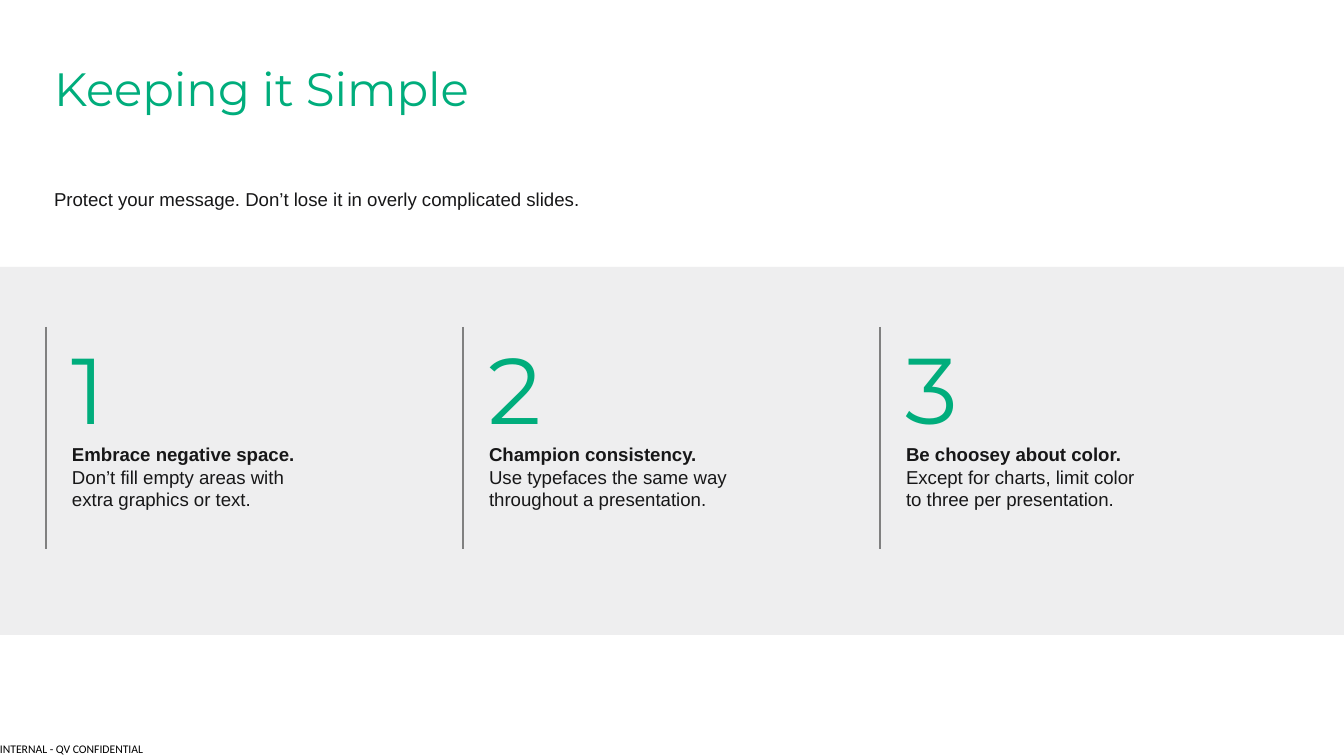
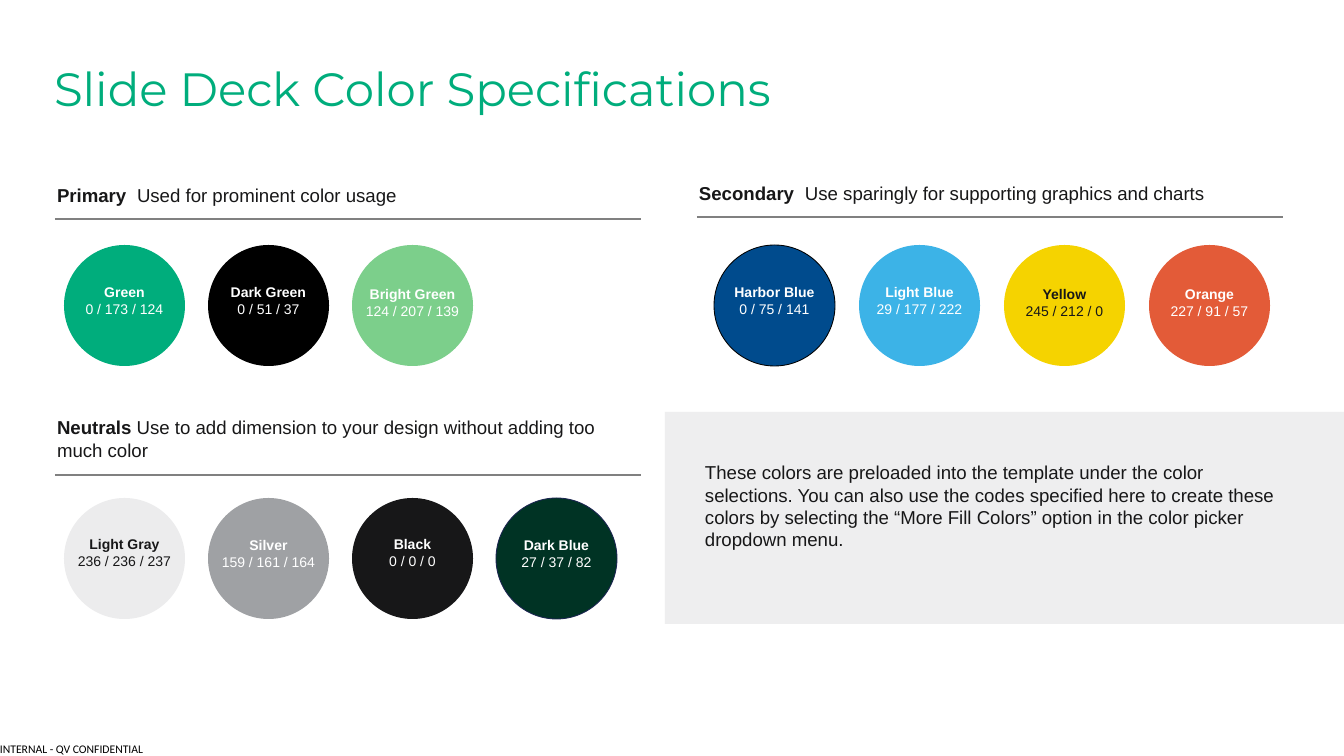
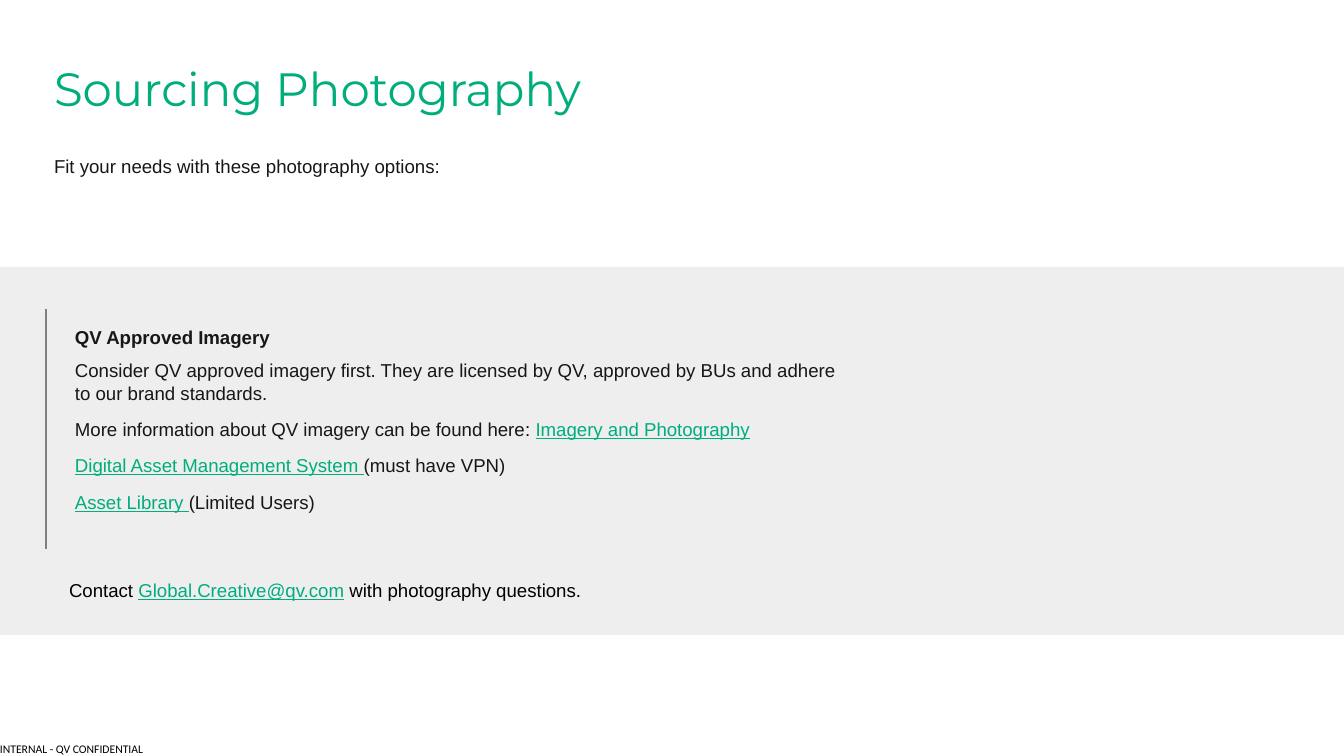
"""Build three brand guideline slides: simplicity, colors and photography."""
from pptx import Presentation
from pptx import util as u
from pptx.dml.color import RGBColor
from pptx.enum import shapes, text
from pptx.oxml.ns import qn
from lxml import etree

PX = 914400 / 84
PAGE_WIDTH, PAGE_HEIGHT = 1344, 756
GREEN, INK, BLACK, WHITE = "00AD7C", "171718", "000000", "FFFFFF"
PANEL, RULE = "EEEEEF", "808080"
TITLE_ONLY, TITLE_AND_BODY = 5, 1
WIDE_PANEL = (0, 267, PAGE_WIDTH, 368)
INSETS = (8, 4, 8, 4)
BODY_INSETS = (8, 8, 8, 4)
CIRCLE = 121

BASE = {"name": "Arial", "size": 16, "color": INK}
TITLE = {"name": "Montserrat", "size": 40, "color": GREEN}
NUMBER = {"name": "Montserrat", "size": 80, "color": GREEN}
FOOTER = {"name": "Calibri", "size": 10, "color": BLACK}
BOLD = {"bold": True}
DARK = {"color": BLACK}
LINK = {"color": GREEN, "underline": True}

FOOTER_TEXT = "INTERNAL - QV CONFIDENTIAL"

SIMPLE_TITLE = "Keeping it Simple"
SIMPLE_INTRO = "Protect your message. Don’t lose it in overly complicated slides."
TIPS = [
    ("Embrace negative space.", "Don’t fill empty areas with\nextra graphics or text."),
    ("Champion consistency.", "Use typefaces the same way throughout a presentation."),
    ("Be choosey about color.", "Except for charts, limit color to three per presentation."),
]

COLOR_TITLE = "Slide Deck Color Specifications"
COLOR_NOTE = (
    "These colors are preloaded into the template under the color selections. "
    "You can also use the codes specified here to create these colors by selecting "
    "the “More Fill Colors” option in the color picker dropdown menu."
)
COLOR_GROUPS = [
    {
        "heading": ("Primary", "\tUsed for prominent color usage"),
        "box": (49, 180, 507, 54), "tab": 80, "rule": 219, "start": (64, 245), "step": 144,
        "swatches": [
            ("Green", "0 / 173 / 124", "00AD7C", None, WHITE, 35),
            ("Dark Green", "0 / 51 / 37", "000000", None, WHITE, 35),
            ("Bright Green", "124 / 207 / 139", "7CCF8B", None, WHITE, 37),
        ],
    },
    {
        "heading": ("Secondary", "\tUse sparingly for supporting graphics and charts"),
        "box": (691, 178, 548, 54), "tab": 106, "rule": 217, "start": (714, 245), "step": 145,
        "swatches": [
            ("Harbor Blue", "0 / 75 / 141", "004B8D", "000000", WHITE, 35),
            ("Light Blue", "29 / 177 / 222", "3CB3E7", None, WHITE, 35),
            ("Yellow", "245 / 212 / 0", "F5D300", None, INK, 37),
            ("Orange", "227 / 91 / 57", "E35B38", None, WHITE, 37),
        ],
    },
    {
        "heading": ("Neutrals", " Use to add dimension to your design without adding too much color"),
        "box": (49, 412, 560, 54), "tab": None, "rule": 475, "start": (64, 498), "step": 144,
        "swatches": [
            ("Light Gray", "236 / 236 / 237", "ECECED", None, INK, 34),
            ("Silver", "159 / 161 / 164", "9FA1A4", None, WHITE, 35),
            ("Black", "0 / 0 / 0", "171718", None, WHITE, 34),
            ("Dark Blue", "27 / 37 / 82", "003324", "1B2451", WHITE, 35),
        ],
    },
]

PHOTO_TITLE = "Sourcing Photography"
PHOTO_INTRO = "Fit your needs with these photography options:"
PHOTO_HEADING = "QV Approved Imagery"
PHOTO_LINES = [
    [("Consider QV approved imagery first. They are licensed by QV, approved by BUs "
      "and adhere to our brand standards.", {})],
    [("More information about QV imagery can be found here", {}), (": ", DARK),
     ("Imagery and Photography", LINK)],
    [("Digital Asset Management System ", LINK), ("(must have VPN)", {})],
    [("Asset Library ", LINK), ("(Limited Users)", {})],
]
PHOTO_CONTACT = [
    ("Contact ", DARK), ("Global.Creative@qv.com", LINK), (" with photography questions.", DARK),
]


def px(length):
    return u.Emu(round(length * PX))


def rgb(value):
    return RGBColor.from_string(value)


def place(shape, area):
    for name, length in zip(("left", "top", "width", "height"), area):
        setattr(shape, name, px(length))


def style_font(font, style):
    for name, value in style.items():
        if name == "color":
            font.color.rgb = rgb(value)
        else:
            setattr(font, name, u.Pt(value) if name == "size" else value)


def write(box, paragraphs, base=BASE, insets=INSETS, align=text.PP_ALIGN.LEFT,
          anchor=text.MSO_ANCHOR.TOP, gap=0, tab=None):
    frame = box.text_frame
    settings = {"word_wrap": True, "auto_size": text.MSO_AUTO_SIZE.NONE, "vertical_anchor": anchor}
    for side, length in zip(("left", "top", "right", "bottom"), insets):
        settings["margin_" + side] = px(length)
    for name, value in settings.items():
        setattr(frame, name, value)
    for index, spans in enumerate(paragraphs):
        para = frame.add_paragraph() if index else frame.paragraphs[0]
        properties = para._p.get_or_add_pPr()
        if box.is_placeholder:
            properties.set("marL", "0")
            properties.set("indent", "0")
            etree.SubElement(properties, qn("a:buNone"))
        if tab:
            tabs = etree.SubElement(properties, qn("a:tabLst"))
            etree.SubElement(tabs, qn("a:tab"), pos=str(px(tab)), algn="l")
        para.alignment = align
        para.space_before = u.Pt(gap if index else 0)
        para.space_after = u.Pt(gap)
        for words, style in spans:
            for number, line in enumerate(words.split("\n")):
                if number:
                    para.add_line_break()
                span = para.add_run()
                span.text = line
                style_font(span.font, {**base, **style})


def add_text(page, area, paragraphs, **options):
    box = page.shapes.add_textbox(*map(px, area))
    write(box, paragraphs, **options)


def add_preset(page, kind, area, fill, outline=None):
    shape = page.shapes.add_shape(kind, *map(px, area))
    shape.shadow.inherit = False
    shape.fill.solid()
    shape.fill.fore_color.rgb = rgb(fill)
    if outline:
        shape.line.color.rgb = rgb(outline)
        shape.line.width = u.Pt(0.75)
    else:
        shape.line.fill.background()


def add_panel(page, area):
    add_preset(page, shapes.MSO_SHAPE.RECTANGLE, area, PANEL)


def add_rule(page, *ends):
    rule = page.shapes.add_connector(shapes.MSO_CONNECTOR.STRAIGHT, *map(px, ends))
    rule.line.color.rgb = rgb(RULE)
    rule.line.width = u.Pt(1)
    etree.SubElement(rule._element.spPr, qn("a:effectLst"))


def add_page(deck, layout, title):
    page = deck.slides.add_slide(deck.slide_layouts[layout])
    place(page.shapes.title, (46, 30, 1252, 93))
    write(page.shapes.title, [[(title, {})]], base=TITLE, insets=(8, 7, 13, 7),
          anchor=text.MSO_ANCHOR.BOTTOM)
    add_text(page, (0, 742, 143, 14), [[(FOOTER_TEXT, {})]], base=FOOTER, insets=(0, 0, 0, 0))
    return page


def add_intro(page, top, height, words):
    body = page.placeholders[1]
    place(body, (46, top, 1252, height))
    write(body, [[(words, {})]], insets=BODY_INSETS, gap=6)


def build_simple(deck):
    page = add_page(deck, TITLE_AND_BODY, SIMPLE_TITLE)
    add_intro(page, 180, 55, SIMPLE_INTRO)
    add_panel(page, WIDE_PANEL)
    for index, (heading, advice) in enumerate(TIPS):
        left = 46 + 417 * index
        add_rule(page, left, 327, left, 549)
        add_text(page, (left + 18, 327, 49, 122), [[(str(index + 1), {})]], base=NUMBER)
        add_text(page, (left + 18, 439, 264, 76), [[(heading + "\n", BOLD), (advice, {})]])


def build_colors(deck):
    page = add_page(deck, TITLE_ONLY, COLOR_TITLE)
    add_panel(page, (665, 412, 679, 212))
    add_text(page, (697, 457, 587, 99), [[(COLOR_NOTE, {})]])
    for group in COLOR_GROUPS:
        name, usage = group["heading"]
        add_text(page, group["box"], [[(name, BOLD), (usage, {})]], tab=group["tab"])
        rule_left = group["box"][0] + 6
        add_rule(page, rule_left, group["rule"], rule_left + 586, group["rule"])
        start, top = group["start"]
        for index, (label, code, fill, outline, ink, drop) in enumerate(group["swatches"]):
            left = start + group["step"] * index
            add_preset(page, shapes.MSO_SHAPE.OVAL, (left, top, CIRCLE, CIRCLE), fill, outline)
            add_text(page, (left + 1, top + drop, 119, 76), [[(label, BOLD)], [(code, {})]],
                     base={**BASE, "size": 12, "color": ink}, align=text.PP_ALIGN.CENTER)


def build_photography(deck):
    page = add_page(deck, TITLE_AND_BODY, PHOTO_TITLE)
    add_intro(page, 147, 74, PHOTO_INTRO)
    add_panel(page, WIDE_PANEL)
    add_rule(page, 46, 309, 46, 549)
    add_text(page, (67, 322, 386, 24), [[(PHOTO_HEADING, BOLD)]])
    add_text(page, (67, 351, 796, 211), PHOTO_LINES, insets=BODY_INSETS, gap=6)
    add_text(page, (61, 575, 552, 31), [PHOTO_CONTACT])


def main():
    deck = Presentation()
    deck.slide_width, deck.slide_height = px(PAGE_WIDTH), px(PAGE_HEIGHT)
    for build in (build_simple, build_colors, build_photography):
        build(deck)
    deck.save("out.pptx")


if __name__ == "__main__":
    main()
